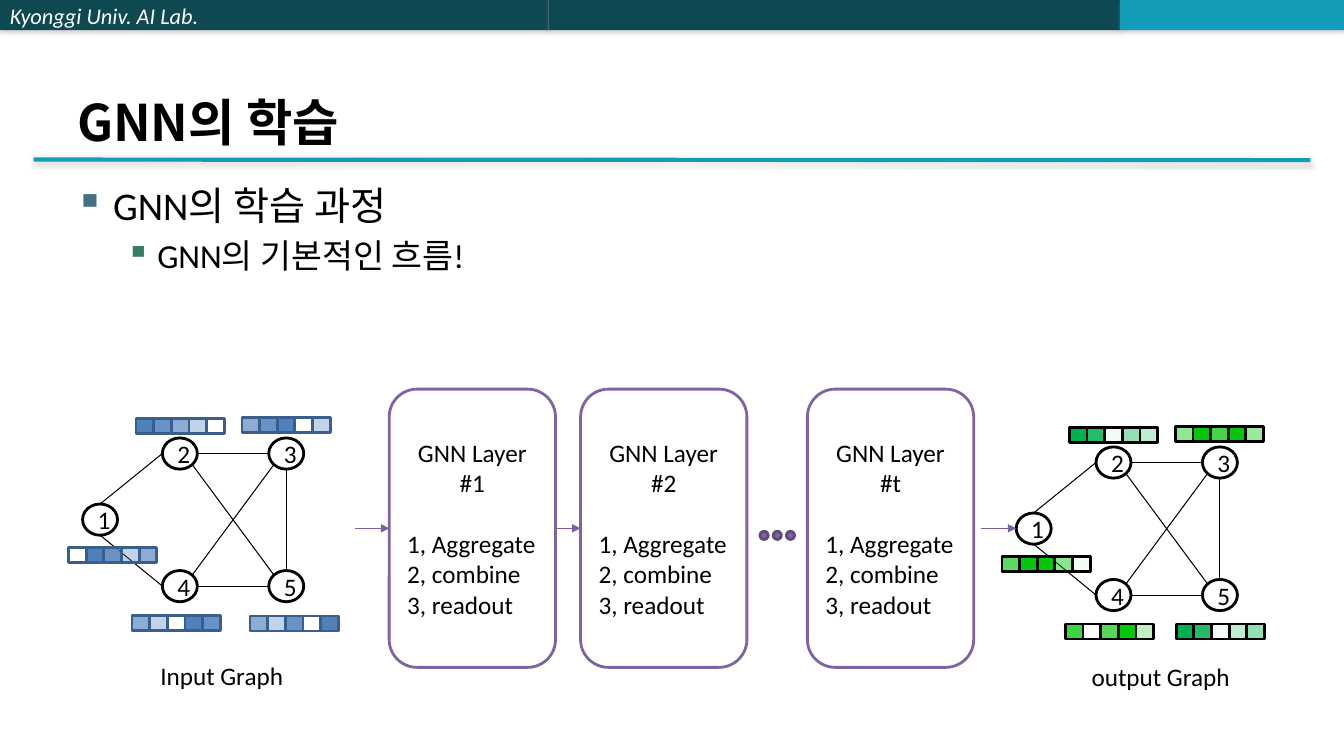
from dataclasses import dataclass
from typing import Any, NamedTuple

from lxml import etree
from pptx import Presentation
from pptx.dml.color import RGBColor
from pptx.enum.shapes import MSO_CONNECTOR, MSO_SHAPE
from pptx.enum.text import MSO_ANCHOR, PP_ALIGN
from pptx.oxml.ns import qn
from pptx.util import Pt

RECTANGLE, ROUNDED = MSO_SHAPE.RECTANGLE, MSO_SHAPE.ROUNDED_RECTANGLE
OVAL, STRAIGHT = MSO_SHAPE.OVAL, MSO_CONNECTOR.STRAIGHT
LEFT, CENTER = PP_ALIGN.LEFT, PP_ALIGN.CENTER
TOP, MIDDLE, BOTTOM = MSO_ANCHOR.TOP, MSO_ANCHOR.MIDDLE, MSO_ANCHOR.BOTTOM


@dataclass(frozen=True)
class Theme:
    latin: str = "Calibri"
    korean: str = "Noto Sans CJK KR"
    black: str = "000000"
    white: str = "FFFFFF"
    dark_teal: str = "0E4851"
    teal: str = "139CB7"
    shadow: str = "808080"
    bullets: tuple[str, str] = ("437085", "357E69")
    blue: str = "4F81BD"
    blue_edge: str = "3A5F8C"
    green: str = "00B050"
    lime: str = "06C60B"
    purple: str = "8064A2"
    purple_edge: str = "5F4A78"
    arrow: str = "7D60A0"
    title_size: float = 36
    body_sizes: tuple[float, float] = (28, 24)
    text_size: float = 18
    header_size: float = 16
    thick: float = 2
    thin: float = 0.75


THEME = Theme()


class Box(NamedTuple):
    left: float
    top: float
    width: float
    height: float

    def site(self, across: float, down: float) -> tuple[float, float]:
        return self.left + across * self.width, self.top + down * self.height


class Strip(NamedTuple):
    """Feature vector: place relative to its graph, and cell opacity in percent."""
    left: float
    top: float
    color: str
    opacities: tuple[int, ...]


class Graph(NamedTuple):
    left: float
    top: float
    edge: str
    caption: str
    caption_box: Box
    strips: tuple[Strip, ...]


class Layer(NamedTuple):
    name: str
    left: float


# Node places relative to the graph, and edges as (node, site, node, site)
NODE_WIDTH, NODE_HEIGHT = 25, 22.3
NODES = {"1": (0, 47.2), "2": (57, 0), "4": (57, 94.7), "5": (133, 94.7), "3": (133, 0)}
NEAR, FAR = 0.15, 0.85
EDGES = (
    ("1", (0.5, 0), "2", (0, 0.5)), ("1", (0.5, 1), "4", (0, 0.5)),
    ("5", (0.5, 0), "3", (0.5, 1)), ("4", (FAR, NEAR), "3", (NEAR, FAR)),
    ("5", (NEAR, NEAR), "2", (FAR, FAR)), ("3", (0, 0.5), "2", (1, 0.5)),
    ("5", (0, 0.5), "4", (1, 0.5)),
)
CELL_WIDTH, CELL_HEIGHT = 12.6, 10.8
GRAPHS = (
    Graph(59, 312.8, THEME.blue_edge, "Input Graph", Box(103.7, 468, 109.4, 28.8), (
        Strip(38.2, -14, THEME.blue, (100, 85, 65, 35, 0)),
        Strip(113.8, -14.6, THEME.blue, (65, 85, 100, 0, 35)),
        Strip(35.3, 127, THEME.blue, (65, 35, 0, 100, 85)),
        Strip(-10, 78.3, THEME.blue, (0, 100, 85, 35, 65)),
        Strip(119.6, 127.2, THEME.blue, (65, 35, 85, 0, 100)))),
    Graph(725.9, 319.2, THEME.black, "output Graph", Box(769, 468.7, 120.2, 28.8), (
        Strip(38, -14, THEME.green, (100, 85, 5, 42, 25)),
        Strip(113.6, -14.6, THEME.lime, (44, 100, 75, 100, 40)),
        Strip(35.1, 126.5, THEME.lime, (77, 0, 68, 100, 25)),
        Strip(-10.2, 78.2, THEME.lime, (65, 100, 100, 45, 5)),
        Strip(114.3, 126.5, THEME.green, (100, 85, 5, 25, 42)))),
)
LAYERS = (Layer("#1", 278), Layer("#2", 414.7), Layer("#t", 576.7))
LAYER_TOP, LAYER_WIDTH, LAYER_HEIGHT = 278, 118.8, 198.7
STEPS = ("1, Aggregate", "2, combine", "3, readout")


def apply_format(target: Any, values: dict[str, Any]) -> None:
    for name, value in values.items():
        setattr(target, name, value)


def add_element(parent: Any, tag: str, **attributes: str) -> Any:
    return etree.SubElement(parent, qn(tag), attributes)


def cast_shadow(shape: Any) -> None:
    effects = shape.element.spPr.find(qn("a:effectLst"))
    shadow = add_element(effects, "a:outerShdw", blurRad=str(Pt(3.1)), dist=str(Pt(1.8)),
                         dir="5400000", rotWithShape="0")
    color = add_element(shadow, "a:srgbClr", val=THEME.shadow)
    add_element(color, "a:alpha", val="35000")


def add_box(slide: Any, kind: Any, box: Box, fill: str, edge: str = "",
            opacity: int = 100) -> Any:
    shape = slide.shapes.add_shape(kind, *map(Pt, box))
    shape.shadow.inherit = False
    if opacity:
        shape.fill.solid()
        shape.fill.fore_color.rgb = RGBColor.from_string(fill)
        if opacity < 100:
            color = shape.element.spPr.find(qn("a:solidFill"))[0]
            add_element(color, "a:alpha", val=str(opacity * 1000))
    else:
        shape.fill.background()
    if edge:
        shape.line.color.rgb = RGBColor.from_string(edge)
        shape.line.width = Pt(THEME.thick)
    else:
        shape.line.fill.background()
    return shape


def add_line(slide: Any, start: tuple[float, float], end: tuple[float, float],
             color: str, width: float, arrow: bool = False) -> Any:
    line = slide.shapes.add_connector(STRAIGHT, *map(Pt, (*start, *end)))
    line.line.color.rgb = RGBColor.from_string(color)
    line.line.width = Pt(width)
    properties = line.element.spPr
    if arrow:
        add_element(properties.find(qn("a:ln")), "a:tailEnd", type="triangle")
    add_element(properties, "a:effectLst")
    return line


def write(shape: Any, lines: tuple[str, ...], anchor: Any = MIDDLE, alignment: Any = CENTER,
          color: str = THEME.black, **font_format: Any) -> list[Any]:
    frame = shape.text_frame
    apply_format(frame, {"word_wrap": True, "vertical_anchor": anchor})
    frame.text = "\n".join(lines)
    values = {"name": THEME.latin, "size": Pt(THEME.text_size)} | font_format
    for paragraph in frame.paragraphs:
        paragraph.alignment = alignment
        font = paragraph.runs[0].font
        apply_format(font, values)
        font.color.rgb = RGBColor.from_string(color)
        add_element(paragraph.runs[0].font._element, "a:ea", typeface=THEME.korean)
    return list(frame.paragraphs)


def add_text(slide: Any, box: Box, *lines: str, **options: Any) -> list[Any]:
    return write(slide.shapes.add_textbox(*map(Pt, box)), lines, **options)


def add_heading(slide: Any) -> None:
    # Header bars
    bars = [add_box(slide, RECTANGLE, Box(left, 0, width, 21.6), color) for left, width, color in (
        (0, 391.7, THEME.dark_teal), (391.7, 408.3, THEME.dark_teal), (800, 160, THEME.teal))]
    write(bars[0], ("Kyonggi Univ. AI Lab.",), alignment=LEFT, color=THEME.white,
          size=Pt(THEME.header_size), italic=True)
    rule = add_line(slide, (24, 114), (936, 114.4), THEME.teal, 3)
    for shape in (*bars, rule):
        cast_shadow(shape)
    # Title and bullets
    add_text(slide, Box(48, 21.6, 864, 90), "GNN의 학습", anchor=BOTTOM, alignment=LEFT,
             name=THEME.korean, size=Pt(THEME.title_size), bold=True)
    bullets = add_text(slide, Box(46.8, 126, 864, 390), "GNN의 학습 과정",
                       "GNN의 기본적인 흐름!", anchor=TOP, alignment=LEFT)
    bullets[1].space_before = Pt(5)
    for level, (paragraph, margin, hanging) in enumerate(zip(bullets, (27, 58.5), (27, 22.5))):
        paragraph.level = level
        paragraph.runs[0].font.size = Pt(THEME.body_sizes[level])
        properties = paragraph._p.get_or_add_pPr()
        properties.set("marL", str(Pt(margin)))
        properties.set("indent", str(-Pt(hanging)))
        add_element(add_element(properties, "a:buClr"), "a:srgbClr", val=THEME.bullets[level])
        add_element(properties, "a:buChar", char="▪")


def add_graph(slide: Any, graph: Graph) -> None:
    nodes = {name: Box(graph.left + x, graph.top + y, NODE_WIDTH, NODE_HEIGHT)
             for name, (x, y) in NODES.items()}
    for name, box in nodes.items():
        write(add_box(slide, OVAL, box, THEME.white, THEME.black), (name,))
    for first, start, second, end in EDGES:
        add_line(slide, nodes[first].site(*start), nodes[second].site(*end),
                 THEME.black, THEME.thin)
    for strip in graph.strips:
        for column, opacity in enumerate(strip.opacities):
            cell = Box(graph.left + strip.left + column * CELL_WIDTH, graph.top + strip.top,
                       CELL_WIDTH, CELL_HEIGHT)
            add_box(slide, RECTANGLE, cell, strip.color, graph.edge, opacity)
    add_text(slide, graph.caption_box, graph.caption, anchor=TOP)


def add_layers(slide: Any) -> None:
    shapes = []
    for layer in LAYERS:
        box = Box(layer.left, LAYER_TOP, LAYER_WIDTH, LAYER_HEIGHT)
        shapes.append(add_box(slide, ROUNDED, box, THEME.white, THEME.purple))
        steps = write(shapes[-1], (f"GNN Layer {layer.name}", *STEPS))[1:]
        steps[0].space_before = Pt(22)
        for step in steps:
            step.alignment = LEFT
    # Flow arrows
    middle = LAYER_TOP + LAYER_HEIGHT / 2
    arrows = [add_line(slide, (start, middle), (end, middle), THEME.arrow, THEME.thin, True)
              for start, end in ((253.4, 278), (396.8, 414.7), (700.6, GRAPHS[1].left))]
    arrows[0].end_connect(shapes[0], 1)
    arrows[1].begin_connect(shapes[0], 3)
    arrows[1].end_connect(shapes[1], 1)
    # Dots for the layers left out
    for index in range(3):
        add_box(slide, OVAL, Box(542.9 + index * 9.4, 379.5, 5.8, 5.8),
                THEME.purple, THEME.purple_edge)


def main() -> None:
    presentation = Presentation()
    apply_format(presentation, {"slide_width": Pt(960), "slide_height": Pt(540)})
    slide = presentation.slides.add_slide(presentation.slide_layouts[6])
    add_heading(slide)
    for graph in GRAPHS:
        add_graph(slide, graph)
    add_layers(slide)
    presentation.save("out.pptx")


if __name__ == "__main__":
    main()
